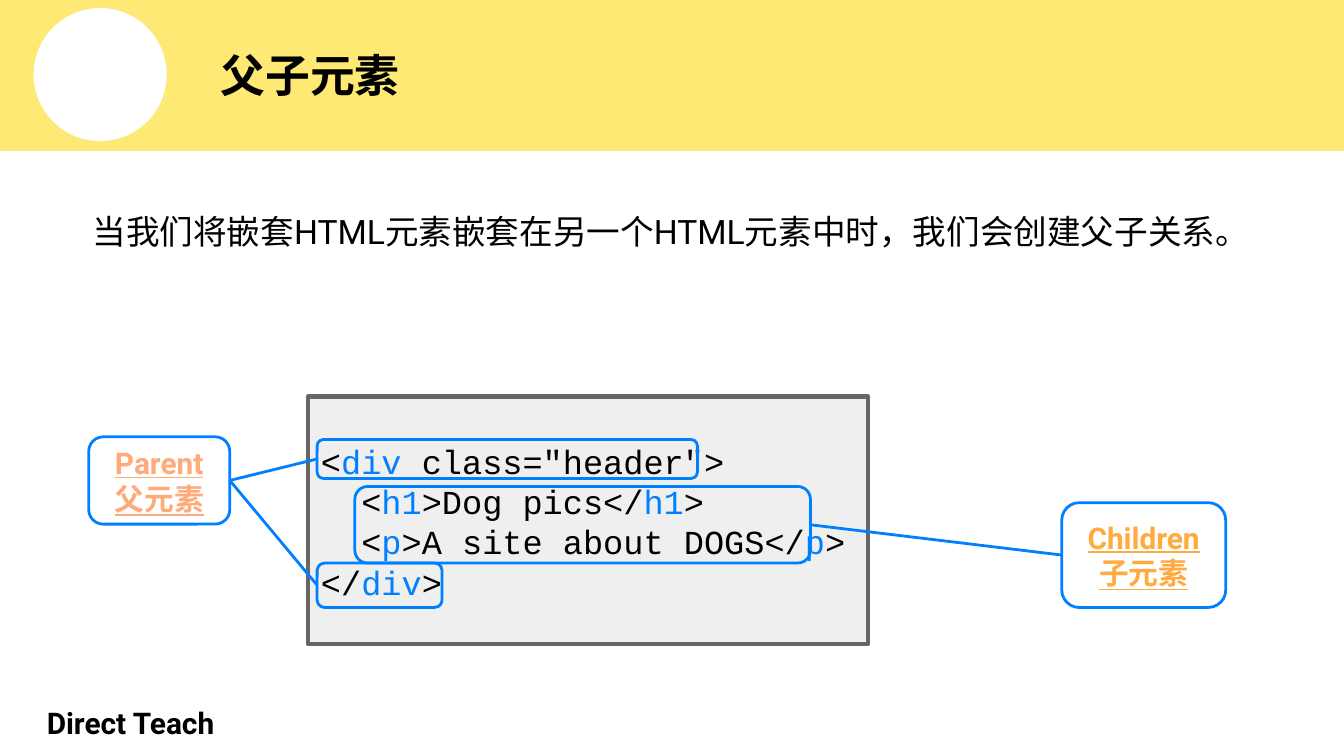
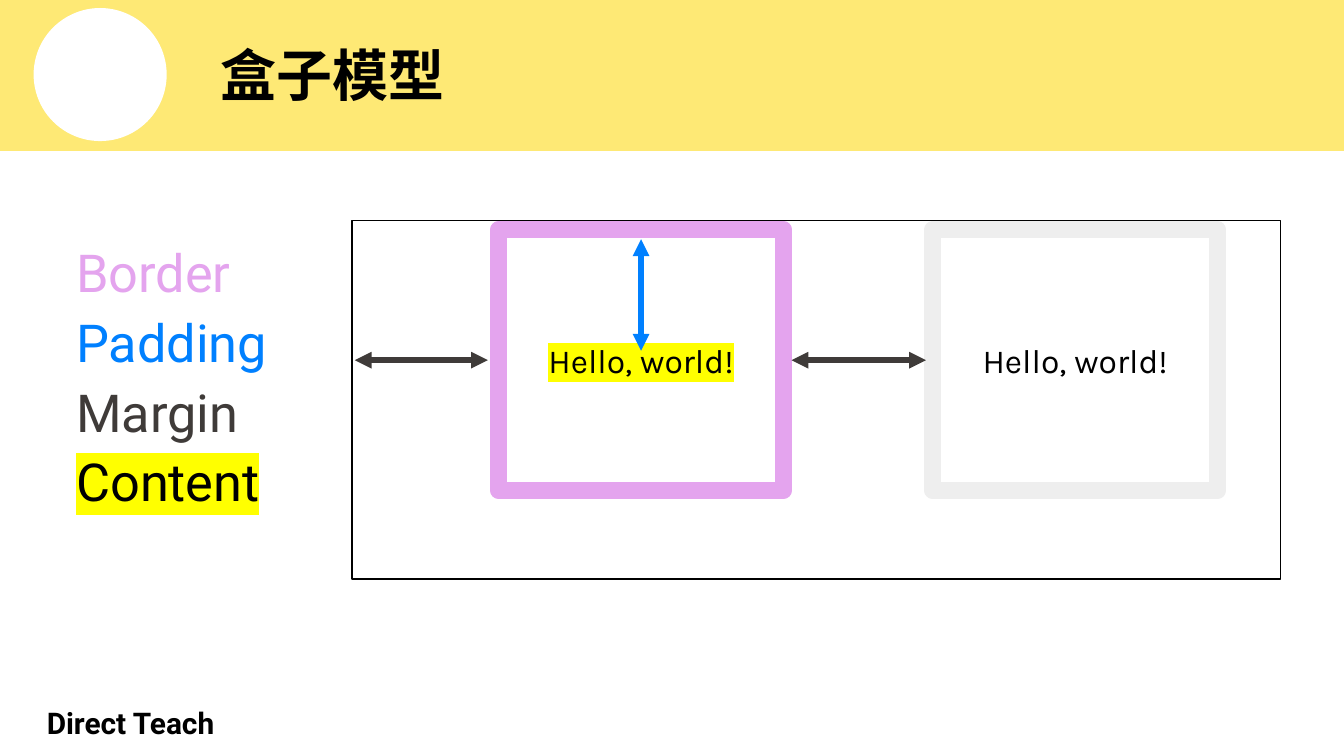
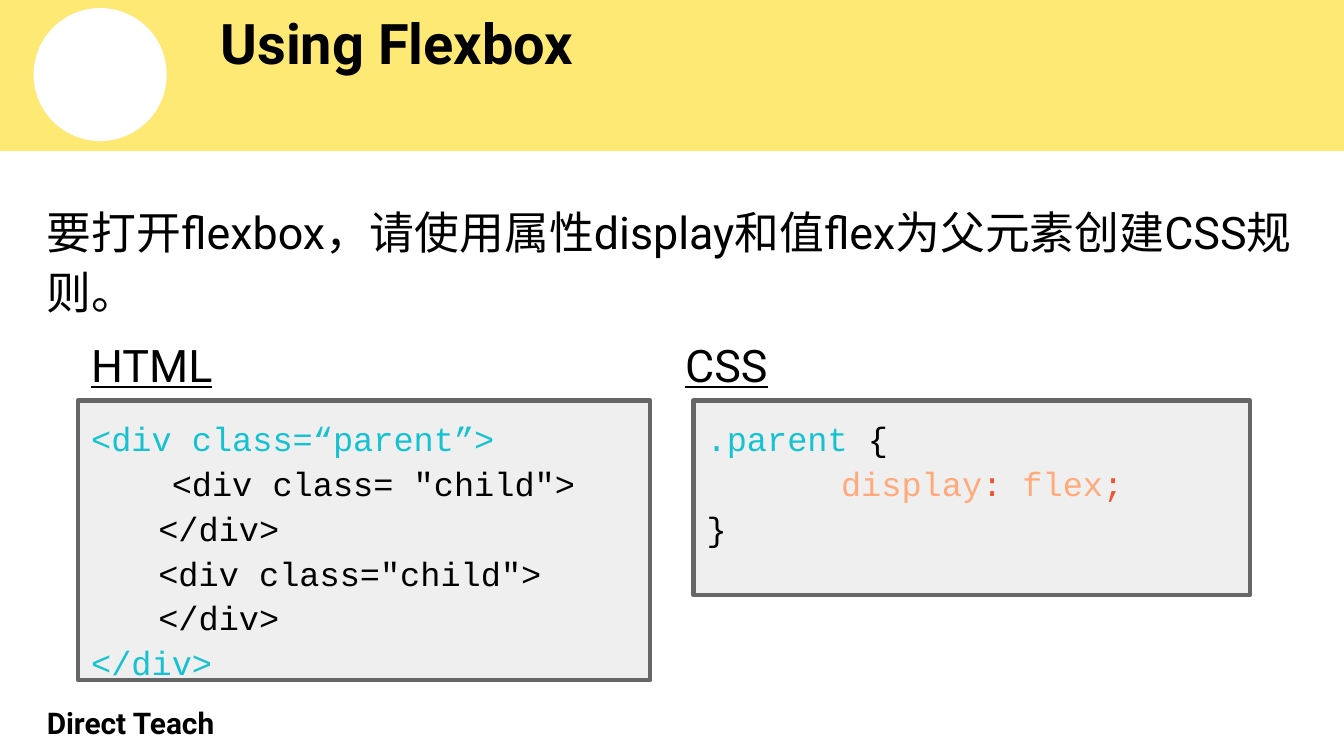
from lxml.etree import SubElement
from pptx import Presentation
from pptx.dml.color import RGBColor
from pptx.enum.shapes import MSO_CONNECTOR, MSO_SHAPE
from pptx.enum.text import MSO_ANCHOR, MSO_AUTO_SIZE, PP_ALIGN
from pptx.oxml.ns import qn
from pptx.util import Inches, Pt

COLORS = {
    "band": "FEE975", "white": "FFFFFF", "black": "000000",
    "blue": "0080FF", "code_fill": "EFEFEF", "code_line": "666666",
    "parent": "FFAA7B", "children": "FFAB40", "border": "E4A4EE",
    "margin": "3F3B39", "pale": "EEEEEE", "highlight": "FFFF00",
    "teal": "15C2D2", "red": "EF5330",
}
BODY = {"name": "Roboto", "size": 18, "color": "black"}
HEADING = {**BODY, "size": 24}
CODE = {**BODY, "name": "Courier New"}
LABEL = {**BODY, "size": 16, "bold": True}
SPACING = 1.11
CODE_BOX = {"fill": "code_fill", "line": "code_line", "width": 2.25}


def rgb(name):
    return RGBColor.from_string(COLORS[name])


def set_values(target, values):
    for name, value in values.items():
        setattr(target, name, value)


def format_font(run, style):
    font = run.font
    font.color.rgb = rgb(style["color"])
    if "highlight" in style:
        highlight = SubElement(run._r.get_or_add_rPr(), qn("a:highlight"))
        SubElement(highlight, qn("a:srgbClr"), val=COLORS[style["highlight"]])
    set_values(font, {name: style[name] for name in ("name", "bold", "underline") if name in style})
    font.size = Pt(style["size"])


def write_text(shape, paragraphs, style, anchor=MSO_ANCHOR.TOP, align=PP_ALIGN.LEFT,
               spacing=None, margin_top=0.1, indents=(), tab=None):
    """Each paragraph is a string or a list of (text, style changes)."""
    frame = shape.text_frame
    inset = Inches(0.1)
    set_values(frame, {
        "word_wrap": True, "auto_size": MSO_AUTO_SIZE.NONE, "vertical_anchor": anchor,
        "margin_left": inset, "margin_right": inset,
        "margin_top": Inches(margin_top), "margin_bottom": inset,
    })
    for index, content in enumerate(paragraphs):
        paragraph = frame.paragraphs[0] if index == 0 else frame.add_paragraph()
        set_values(paragraph, {"alignment": align, "line_spacing": spacing})
        properties = paragraph._p.get_or_add_pPr()
        properties.set("hangingPunct", "0")
        if index in indents:
            properties.set("marL", str(Inches(0.5)))
        if tab:
            stops = SubElement(properties, qn("a:tabLst"))
            SubElement(stops, qn("a:tab"), pos=str(Inches(tab)), algn="l")
        runs = [(content, {})] if isinstance(content, str) else content
        for text, changes in runs:
            run = paragraph.add_run()
            run.text = text
            format_font(run, {**style, **changes})


def add_text(slide, box, paragraphs, style, **options):
    shape = slide.shapes.add_textbox(*map(Inches, box))
    write_text(shape, paragraphs, style, **options)


def add_box(slide, box, kind=MSO_SHAPE.RECTANGLE, fill=None, line=None, width=0.75):
    shape = slide.shapes.add_shape(kind, *map(Inches, box))
    shape.shadow.inherit = False
    if fill:
        shape.fill.solid()
        shape.fill.fore_color.rgb = rgb(fill)
    else:
        shape.fill.background()
    if line:
        shape.line.color.rgb = rgb(line)
        shape.line.width = Pt(width)
    else:
        shape.line.fill.background()
    return shape


def add_callout(slide, box, fill=None):
    return add_box(slide, box, MSO_SHAPE.ROUNDED_RECTANGLE, fill, "blue", 1.5)


def add_line(slide, start, end, color, width, arrows=False):
    line = slide.shapes.add_connector(MSO_CONNECTOR.STRAIGHT, *map(Inches, start + end))
    line.line.color.rgb = rgb(color)
    line.line.width = Pt(width)
    if arrows:
        for name in ("a:headEnd", "a:tailEnd"):
            SubElement(line.line._get_or_add_ln(), qn(name), type="triangle")
    SubElement(line._element.spPr, qn("a:effectLst"))
    return line


def join(slide, first, first_side, second, second_side):
    line = add_line(slide, (0, 0), (1, 1), "blue", 1.5)
    line.begin_connect(first, first_side)
    line.end_connect(second, second_side)


def colored(*texts):
    """Colour every second piece, the tag names, blue."""
    return [(text, {"color": "blue"} if index % 2 else {}) for index, text in enumerate(texts)]


def prepare_layout(layout, slide):
    """Draw the band, disc and footer, then move them to the shared layout."""
    for placeholder in list(layout.placeholders)[1:]:
        placeholder._element.getparent().remove(placeholder._element)
    add_box(slide, (0, -0.01, 10, 1.13), fill="band", line="band")
    add_box(slide, (0.25, 0.06, 0.99, 0.99), MSO_SHAPE.OVAL, fill="white")
    add_text(slide, (0.25, 5.25, 3, 0.25), ["Direct Teach"], LABEL, anchor=MSO_ANCHOR.MIDDLE)
    for shape in list(slide.shapes)[1:]:
        layout.shapes._spTree.append(shape._element)


def set_title(slide, text, size=30, **options):
    title = slide.shapes.title
    box = map(Inches, (1.54, 0.06, 8.2, 0.99))
    set_values(title, dict(zip(("left", "top", "width", "height"), box)))
    write_text(title, [text], {**BODY, "size": size, "bold": True},
               **{"anchor": MSO_ANCHOR.MIDDLE, **options})


def build_parent_child(slide):
    set_title(slide, "父子元素", 24)
    add_text(slide, (0.59, 1.47, 8.83, 1.13),
             ["当我们将嵌套HTML元素嵌套在另一个HTML元素中时，我们会创建父子关系。"], BODY)

    # Code listing
    code = add_box(slide, (2.29, 2.95, 4.17, 1.84), **CODE_BOX)
    write_text(code, [
        colored("<", "div", ' class="header">'),
        colored("  <", "h1", ">Dog pics</", "h1", ">"),
        colored("  <", "p", ">A site about DOGS</", "p", ">"),
        colored("</", "div", ">"),
    ], CODE, margin_top=0.33)

    # Outlines around the code, and their labels
    opening = add_callout(slide, (2.36, 3.27, 2.83, 0.29))
    nested = add_callout(slide, (2.64, 3.62, 3.39, 0.57))
    closing = add_callout(slide, (2.36, 4.19, 0.93, 0.33))
    parent = add_callout(slide, (0.66, 3.25, 1.05, 0.65), "white")
    children = add_callout(slide, (7.9, 3.74, 1.22, 0.78), "white")
    for label, words, color in ((parent, ["Parent", "父元素"], "parent"),
                                (children, ["Children", "子元素"], "children")):
        write_text(label, words, {**LABEL, "underline": True, "color": color},
                   anchor=MSO_ANCHOR.MIDDLE, align=PP_ALIGN.CENTER)
    join(slide, parent, 3, opening, 1)
    join(slide, parent, 3, closing, 1)
    join(slide, children, 1, nested, 3)


def build_box_model(slide):
    set_title(slide, "盒子模型")
    content = {"highlight": "highlight"}

    # Colour key
    add_text(slide, (0.47, 1.64, 1.94, 3.43), [
        [("Border", {"color": "border"})],
        [("Padding", {"color": "blue"})],
        [("Margin", {"color": "margin"})],
        [("Content", content)],
    ], {**BODY, "size": 28}, spacing=SPACING)

    # Page frame with two boxes
    add_box(slide, (2.62, 1.64, 6.91, 2.67), line="black")
    for left, border, changes in ((3.71, "border", content), (6.94, "pale", {})):
        box = add_box(slide, (left, 1.71, 2.12, 1.94), fill="white", line=border, width=9)
        write_text(box, [[("Hello, world!", changes)]], {**BODY, "name": "Karla"},
                   anchor=MSO_ANCHOR.MIDDLE, align=PP_ALIGN.CENTER)

    # Margin and padding arrows
    for start, end, color in (((2.64, 2.68), (3.63, 2.68), "margin"),
                              ((5.89, 2.68), (6.89, 2.68), "margin"),
                              ((4.77, 1.78), (4.77, 2.61), "blue")):
        add_line(slide, start, end, color, 3, arrows=True)


def build_flexbox(slide):
    set_title(slide, "Using Flexbox", anchor=MSO_ANCHOR.TOP, margin_top=0)
    add_text(slide, (0.25, 1.38, 9.49, 1.1),
             ["要打开flexbox，请使用属性display和值flex为父元素创建CSS规则。"],
             HEADING, spacing=SPACING)
    for left, heading in ((0.58, "HTML"), (5, "CSS")):
        add_text(slide, (left, 2.41, 1.19, 0.48), [heading], {**HEADING, "underline": True})

    # HTML and CSS listings
    teal, red, peach = ({"color": name} for name in ("teal", "red", "parent"))
    html = add_box(slide, (0.58, 2.98, 4.26, 2.08), **CODE_BOX)
    write_text(html, [
        [("<div class=“parent”>", teal)],
        '    <div class= "child">',
        "</div>",
        '<div class="child">',
        "</div>",
        [("</div>", teal)],
    ], CODE, spacing=SPACING, indents=(2, 3, 4))
    css = add_box(slide, (5.16, 2.98, 4.14, 1.45), **CODE_BOX)
    write_text(css, [
        [(".parent ", teal), ("{", {})],
        [("\t", red), ("display", peach), (": ", red), ("flex", peach), (";", red)],
        "}",
    ], CODE, spacing=SPACING, tab=1)


def main():
    presentation = Presentation()
    presentation.slide_width = Inches(10)
    presentation.slide_height = presentation.slide_width * 9 // 16
    layout = presentation.slide_layouts[5]
    slides = [presentation.slides.add_slide(layout) for _ in range(3)]
    prepare_layout(layout, slides[0])
    for build, slide in zip((build_parent_child, build_box_model, build_flexbox), slides):
        build(slide)
    presentation.save("out.pptx")


if __name__ == "__main__":
    main()
